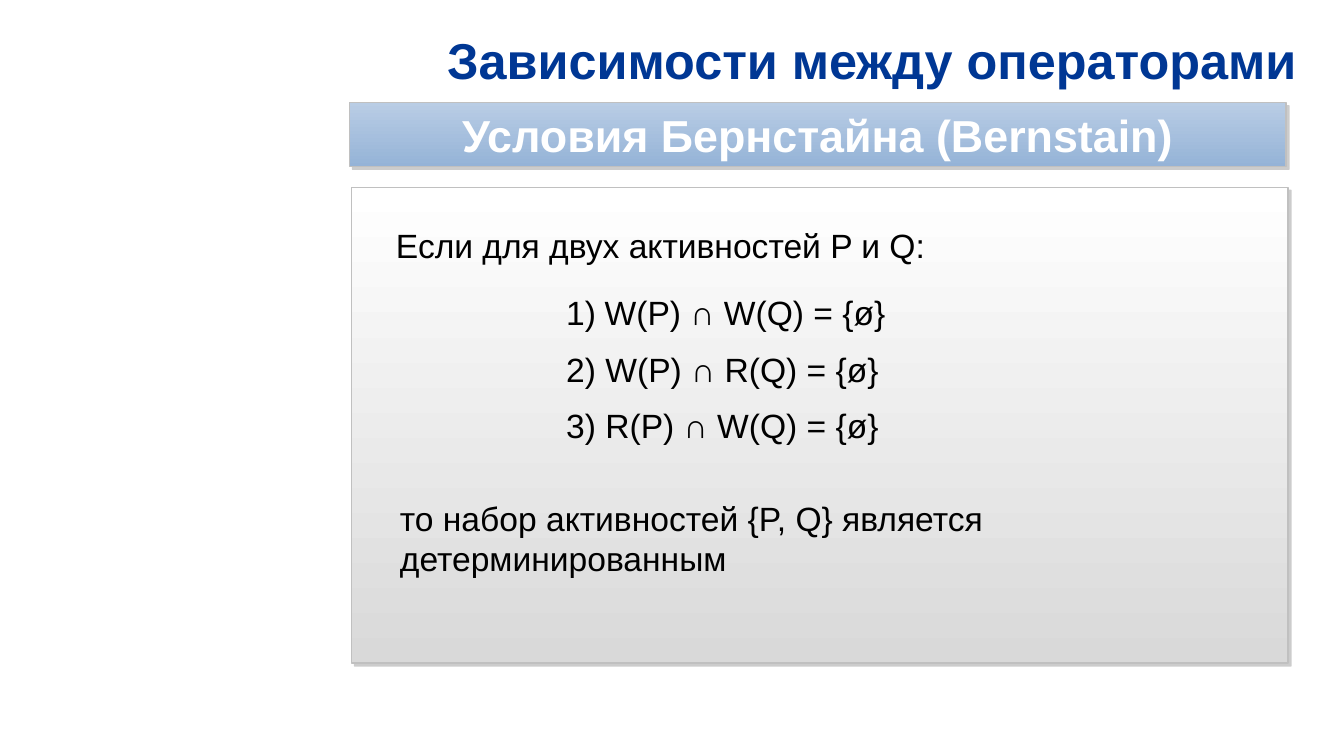
import lxml.etree
import pptx
import pptx.dml.color
import pptx.enum.shapes
import pptx.enum.text
import pptx.oxml.ns
import pptx.util
from dataclasses import dataclass

Cm = pptx.util.Cm
Pt = pptx.util.Pt
Align = pptx.enum.text.PP_ALIGN
Anchor = pptx.enum.text.MSO_ANCHOR
AutoSize = pptx.enum.text.MSO_AUTO_SIZE


@dataclass(frozen=True)
class Theme:
    font: str = "Arial"
    title_color: str = "003794"
    banner_text: str = "FFFFFF"
    body_text: str = "000000"
    banner_fill: tuple = ("B9CDE5", "95B3D7")
    panel_fill: tuple = ("FFFFFF", "D9D9D9")
    border: str = "C0C0C0"
    shadow: str = "808080"
    title_size: int = 36
    banner_size: int = 32
    body_size: int = 24


def rgb(value):
    return pptx.dml.color.RGBColor.from_string(value)


def add_xml(parent, tag, **attributes):
    return lxml.etree.SubElement(parent, pptx.oxml.ns.qn(tag), attributes)


class SlideBuilder:
    def __init__(self, deck, theme):
        self.theme = theme
        self.slide = deck.slides.add_slide(deck.slide_layouts[5])

    def set_text(self, shape, text, size, color, bold=False, align=Align.LEFT):
        frame = shape.text_frame
        frame.word_wrap = True
        frame.text = text
        para = frame.paragraphs[0]
        para.alignment = align
        for span in para.runs:
            span.font.name = self.theme.font
            span.font.size = Pt(size)
            span.font.bold = bold
            span.font.color.rgb = rgb(color)
        return para

    def title(self, text, left, top, width, height):
        box = self.slide.shapes.title
        box.left, box.top, box.width, box.height = map(Cm, (left, top, width, height))
        box.text_frame.auto_size = AutoSize.NONE
        box.text_frame.vertical_anchor = Anchor.MIDDLE
        self.set_text(box, text, self.theme.title_size, self.theme.title_color, True, Align.RIGHT)

    def panel(self, colors, left, top, width, height):
        panel = self.slide.shapes.add_shape(
            pptx.enum.shapes.MSO_SHAPE.RECTANGLE, *map(Cm, (left, top, width, height)))
        panel.fill.gradient()
        panel.fill.gradient_angle = 270
        for stop, color in zip(panel.fill.gradient_stops, colors):
            stop.color.rgb = rgb(color)
        panel.line.color.rgb = rgb(self.theme.border)
        panel.line.width = Pt(1)
        self.drop_shadow(panel)
        return panel

    def drop_shadow(self, shape):
        shape.shadow.inherit = False
        effects = shape.element.spPr.find(pptx.oxml.ns.qn("a:effectLst"))
        outer = add_xml(effects, "a:outerShdw", blurRad="0", dist=str(Pt(3)),
                        dir="2700000", algn="tl", rotWithShape="0")
        color = add_xml(outer, "a:srgbClr", val=self.theme.shadow)
        add_xml(color, "a:alpha", val="40000")

    def banner(self, text, left, top, width, height):
        banner = self.panel(self.theme.banner_fill, left, top, width, height)
        frame = banner.text_frame
        frame.margin_left = frame.margin_right = Cm(0.6)
        frame.margin_top = frame.margin_bottom = Cm(0.1)
        frame.vertical_anchor = Anchor.MIDDLE
        self.set_text(banner, text, self.theme.banner_size, self.theme.banner_text, True, Align.CENTER)

    def text(self, text, left, top, width, height):
        box = self.slide.shapes.add_textbox(*map(Cm, (left, top, width, height)))
        box.text_frame.auto_size = AutoSize.SHAPE_TO_FIT_TEXT
        return self.set_text(box, text, self.theme.body_size, self.theme.body_text)

    def condition(self, text, numbered, left, top, width, height):
        para = self.text(text, left, top, width, height)
        para.line_spacing = 0.7
        properties = para._p.get_or_add_pPr()
        properties.set("marL", str(Cm(0.97)))
        properties.set("indent", str(-Cm(0.97)))
        if numbered:
            add_xml(properties, "a:buFont", typeface=self.theme.font)
            add_xml(properties, "a:buAutoNum", type="arabicParenR")


def main():
    deck = pptx.Presentation()
    deck.slide_width, deck.slide_height = Cm(33.87), Cm(19.05)
    theme = Theme()
    page = SlideBuilder(deck, theme)
    page.title("Зависимости между операторами", 8.15, 0.58, 24.79, 1.83)
    page.banner("Условия Бернстайна (Bernstain)", 8.81, 2.59, 23.6, 1.6)
    page.panel(theme.panel_fill, 8.86, 4.72, 23.6, 11.99)
    page.text("Если для двух активностей P и Q:", 9.73, 5.54, 16.31, 1.27)
    conditions = ("W(P) ∩ W(Q) = {ø}", "2) W(P) ∩ R(Q) = {ø}", "3) R(P) ∩ W(Q) = {ø}")
    for row, condition in enumerate(conditions):
        page.condition(condition, row == 0, 14.02, 7.52 + 1.42 * row, 8.99, 0.97)
    page.text("то набор активностей {P, Q} является детерминированным", 9.83, 12.42, 21.21, 2.31)
    deck.save("out.pptx")


if __name__ == "__main__":
    main()
